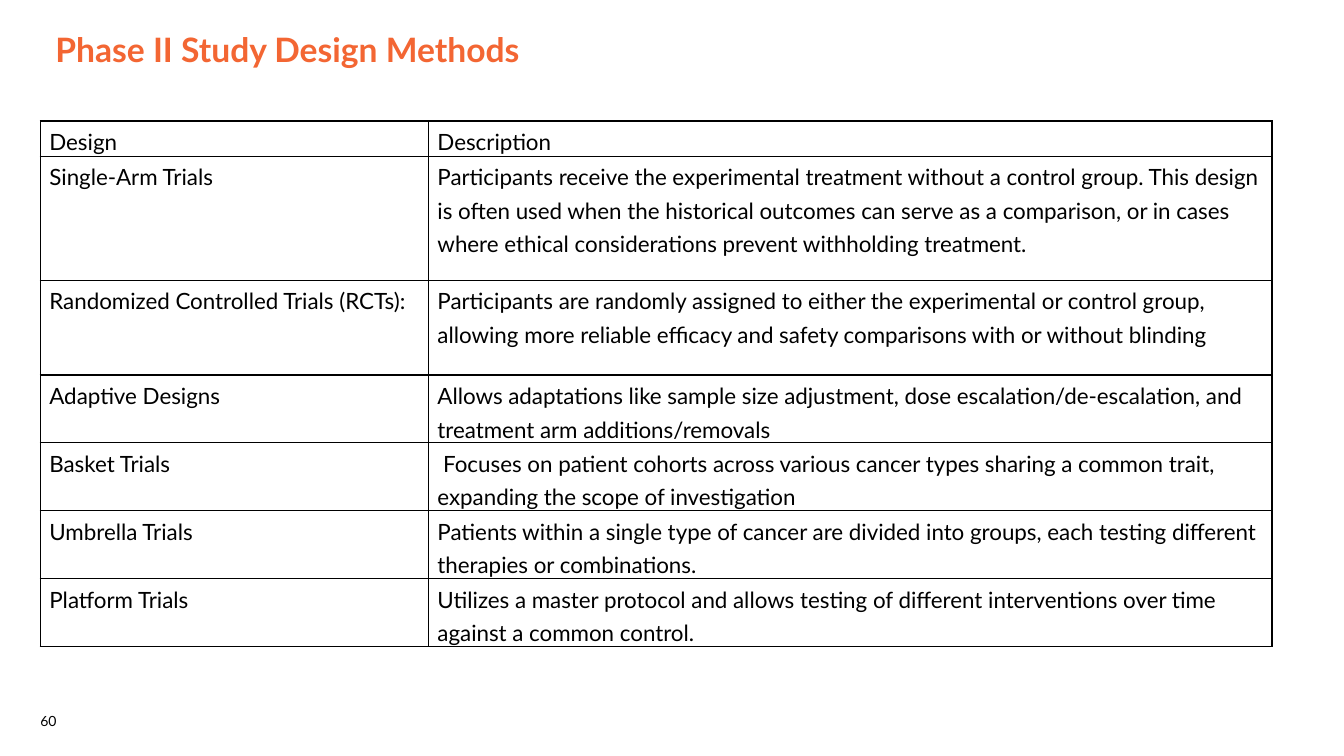
"""Build the slide that lists Phase II study design methods in a table."""
from dataclasses import dataclass
from typing import Any

from lxml.etree import SubElement
from pptx import Presentation
from pptx.dml.color import RGBColor
from pptx.enum.text import MSO_ANCHOR as Anchor, MSO_AUTO_SIZE as AutoSize, PP_ALIGN as Align
from pptx.oxml.ns import qn
from pptx.util import Pt


@dataclass(frozen=True)
class Theme:
    font: str = "Lato"
    accent: str = "F36633"
    ink: str = "000000"
    title_size: float = 24
    table_size: float = 16
    number_size: float = 10
    border_width: float = 1


@dataclass(frozen=True)
class Design:
    name: str
    description: str
    height: float


THEME = Theme()
TWO_LINES = 46.1
COLUMN_WIDTHS = (277.2, 602.6)
DESIGNS = (
    Design("Design", "Description", 25.2),
    Design(
        "Single-Arm Trials",
        "Participants receive the experimental treatment without a control group. "
        "This design is often used when the historical outcomes can serve as a comparison, "
        "or in cases where ethical considerations prevent withholding treatment.",
        88.6,
    ),
    Design(
        "Randomized Controlled Trials (RCTs):",
        "Participants are randomly assigned to either the experimental or control group, "
        "allowing more reliable efficacy and safety comparisons with or without blinding",
        67.7,
    ),
    Design(
        "Adaptive Designs",
        "Allows adaptations like sample size adjustment, dose escalation/de-escalation, "
        "and treatment arm additions/removals",
        TWO_LINES,
    ),
    Design(
        "Basket Trials",
        " Focuses on patient cohorts across various cancer types sharing a common trait, "
        "expanding the scope of investigation",
        TWO_LINES,
    ),
    Design(
        "Umbrella Trials",
        "Patients within a single type of cancer are divided into groups, "
        "each testing different therapies or combinations.",
        TWO_LINES,
    ),
    Design(
        "Platform Trials",
        "Utilizes a master protocol and allows testing of different interventions over time "
        "against a common control.",
        TWO_LINES,
    ),
)


def apply(target: Any, values: dict[str, Any]) -> None:
    for name, value in values.items():
        setattr(target, name, value)


def write(frame: Any, text: str, size: float, color: str, bold: bool, layout: dict[str, Any]) -> None:
    para = frame.paragraphs[0]
    apply(para, {"alignment": Align.LEFT, "space_before": Pt(0)} | layout)
    span = para.add_run()
    span.text = text
    apply(span.font, {"name": THEME.font, "size": Pt(size), "bold": bold})
    span.font.color.rgb = RGBColor.from_string(color)


def fit_frame(frame: Any) -> None:
    margins = {f"margin_{side}": Pt(0) for side in ("left", "top", "right", "bottom")}
    apply(frame, margins | {
        "word_wrap": True,
        "auto_size": AutoSize.NONE,
        "vertical_anchor": Anchor.BOTTOM,
    })


def add_title(slide: Any, text: str) -> None:
    title = slide.shapes.title
    apply(title, {"left": Pt(39.6), "top": Pt(23), "width": Pt(795), "height": Pt(26.6)})
    fit_frame(title.text_frame)
    write(title.text_frame, text, THEME.title_size, THEME.accent, True, {"line_spacing": 0.9})


def add_page_number(slide: Any, number: str) -> None:
    box = slide.shapes.add_textbox(Pt(28.8), Pt(499.7), Pt(42.5), Pt(21.6))
    fit_frame(box.text_frame)
    write(box.text_frame, number, THEME.number_size, THEME.ink, False, {"space_after": Pt(6)})


def add_borders(cell: Any) -> None:
    properties = cell._tc.get_or_add_tcPr()
    for position, side in enumerate(("lnL", "lnR", "lnT", "lnB")):
        line = SubElement(properties, qn(f"a:{side}"), w=str(Pt(THEME.border_width)))
        fill = SubElement(line, qn("a:solidFill"))
        SubElement(fill, qn("a:srgbClr"), val=THEME.ink)
        properties.insert(position, line)


def add_design_table(slide: Any, designs: tuple[Design, ...]) -> None:
    height = sum(design.height for design in designs)
    table = slide.shapes.add_table(
        len(designs), len(COLUMN_WIDTHS), Pt(28.8), Pt(86.4), Pt(sum(COLUMN_WIDTHS)), Pt(height)
    ).table
    apply(table, {"first_row": False, "horz_banding": False})
    for column, width in zip(table.columns, COLUMN_WIDTHS):
        column.width = Pt(width)
    for row, design in zip(table.rows, designs):
        row.height = Pt(design.height)
        for cell, text in zip(row.cells, (design.name, design.description)):
            apply(cell, {
                "margin_left": Pt(6.5),
                "margin_top": Pt(0.7),
                "margin_right": Pt(6.5),
                "margin_bottom": Pt(0),
                "vertical_anchor": Anchor.TOP,
            })
            cell.fill.background()
            add_borders(cell)
            write(cell.text_frame, text, THEME.table_size, THEME.ink, False,
                  {"line_spacing": 1.25, "space_after": Pt(3)})


def main() -> None:
    deck = Presentation()
    apply(deck, {"slide_width": Pt(960), "slide_height": Pt(540)})
    slide = deck.slides.add_slide(deck.slide_layouts.get_by_name("Title Only"))
    add_title(slide, "Phase II Study Design Methods")
    add_page_number(slide, "60")
    add_design_table(slide, DESIGNS)
    deck.save("out.pptx")


if __name__ == "__main__":
    main()
